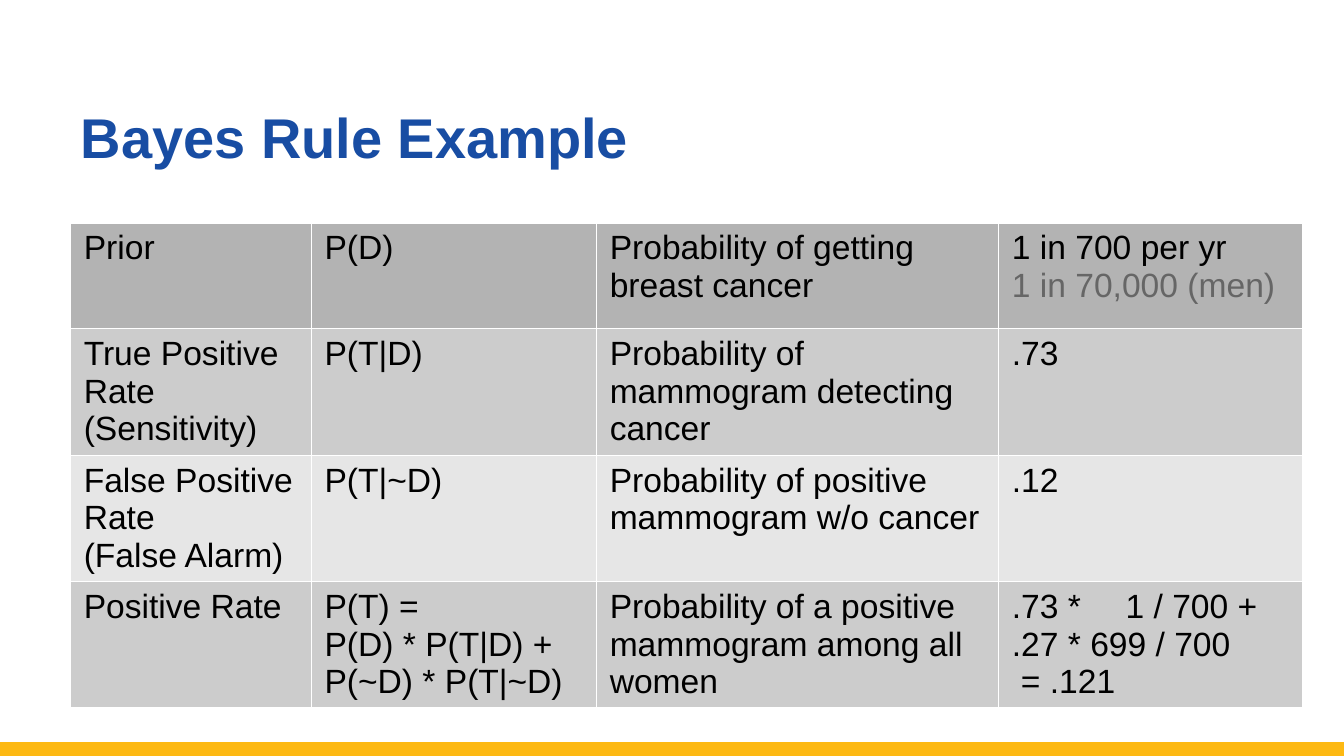
import pptx
import pptx.util
import pptx.dml.color
import pptx.enum.shapes
import pptx.enum.text
import pptx.oxml
import pptx.oxml.ns
from pptx.util import Cm

FONT = "Arial"
NS = pptx.oxml.ns.nsdecls("a")


def rgb(code):
    return pptx.dml.color.RGBColor.from_string(code)


def style(para, size, colour, bold=False):
    for span in para.runs:
        span.font.name = FONT
        span.font.size = pptx.util.Pt(size)
        span.font.bold = bold
        span.font.color.rgb = rgb(colour)


deck = pptx.Presentation()
deck.slide_width, deck.slide_height = Cm(25.4), Cm(14.29)
page = deck.slides.add_slide(deck.slide_layouts[5])

# Yellow line along the bottom edge
footer = page.shapes.add_connector(
    pptx.enum.shapes.MSO_CONNECTOR.STRAIGHT, Cm(0), Cm(14.17), Cm(25.4), Cm(14.17))
footer.line.color.rgb = rgb("FDB913")
footer.line.width = pptx.util.Pt(8)
footer._element.spPr.append(pptx.oxml.parse_xml(f"<a:effectLst {NS}/>"))

# Title
title = page.shapes.title
title.left, title.top, title.width, title.height = Cm(1.27), Cm(0), Cm(22.86), Cm(3.33)
title.text_frame.text = "Bayes Rule Example"
title.text_frame.vertical_anchor = pptx.enum.text.MSO_ANCHOR.BOTTOM
para = title.text_frame.paragraphs[0]
para.alignment = pptx.enum.text.PP_ALIGN.LEFT
para.line_spacing = pptx.util.Pt(58)
style(para, 30, "184DA3", bold=True)

# Table of probabilities
rows = [
    ("B3B3B3", ["Prior", "P(D)", "Probability of getting breast cancer",
                "1 in 700 per yr\n1 in 70,000 (men)"]),
    ("CCCCCC", ["True Positive Rate\n(Sensitivity)", "P(T|D)",
                "Probability of mammogram detecting cancer", ".73"]),
    ("E6E6E6", ["False Positive Rate\n(False Alarm)", "P(T|~D)",
                "Probability of positive mammogram w/o cancer", ".12"]),
    ("CCCCCC", ["Positive Rate", "P(T) =\nP(D) * P(T|D) + P(~D) * P(T|~D)",
                "Probability of a positive mammogram among all women",
                ".73 *\t1 / 700 +\n.27 * 699 / 700\n= .121"]),
]
widths = [4.55, 5.39, 7.6, 5.73]
table = page.shapes.add_table(
    len(rows), len(widths), Cm(1.33), Cm(4.21), Cm(sum(widths)), Cm(8)).table
for column, width in zip(table.columns, widths):
    column.width = Cm(width)

for row, (fill, texts) in zip(table.rows, rows):
    row.height = Cm(2)
    for cell, text in zip(row.cells, texts):
        cell.text_frame.text = text
        for para in cell.text_frame.paragraphs:
            style(para, 18, "000000")
        properties = cell._tc.get_or_add_tcPr()
        for side in ("lnL", "lnR", "lnT", "lnB"):
            properties.append(pptx.oxml.parse_xml(
                f'<a:{side} {NS} w="760"><a:solidFill><a:srgbClr val="FFFFFF"/>'
                f"</a:solidFill></a:{side}>"))
        cell.fill.solid()
        cell.fill.fore_color.rgb = rgb(fill)

# Grey rate for men
style(table.cell(0, 3).text_frame.paragraphs[1], 18, "666666")

# Align the calculation with a tab stop and an indent
first, second, result = table.cell(3, 3).text_frame.paragraphs
first._p.get_or_add_pPr().append(pptx.oxml.parse_xml(
    f'<a:tabLst {NS}><a:tab pos="{Cm(2.15)}" algn="l"/></a:tabLst>'))
result._p.get_or_add_pPr().set("marL", str(Cm(0.17)))

deck.save("out.pptx")
